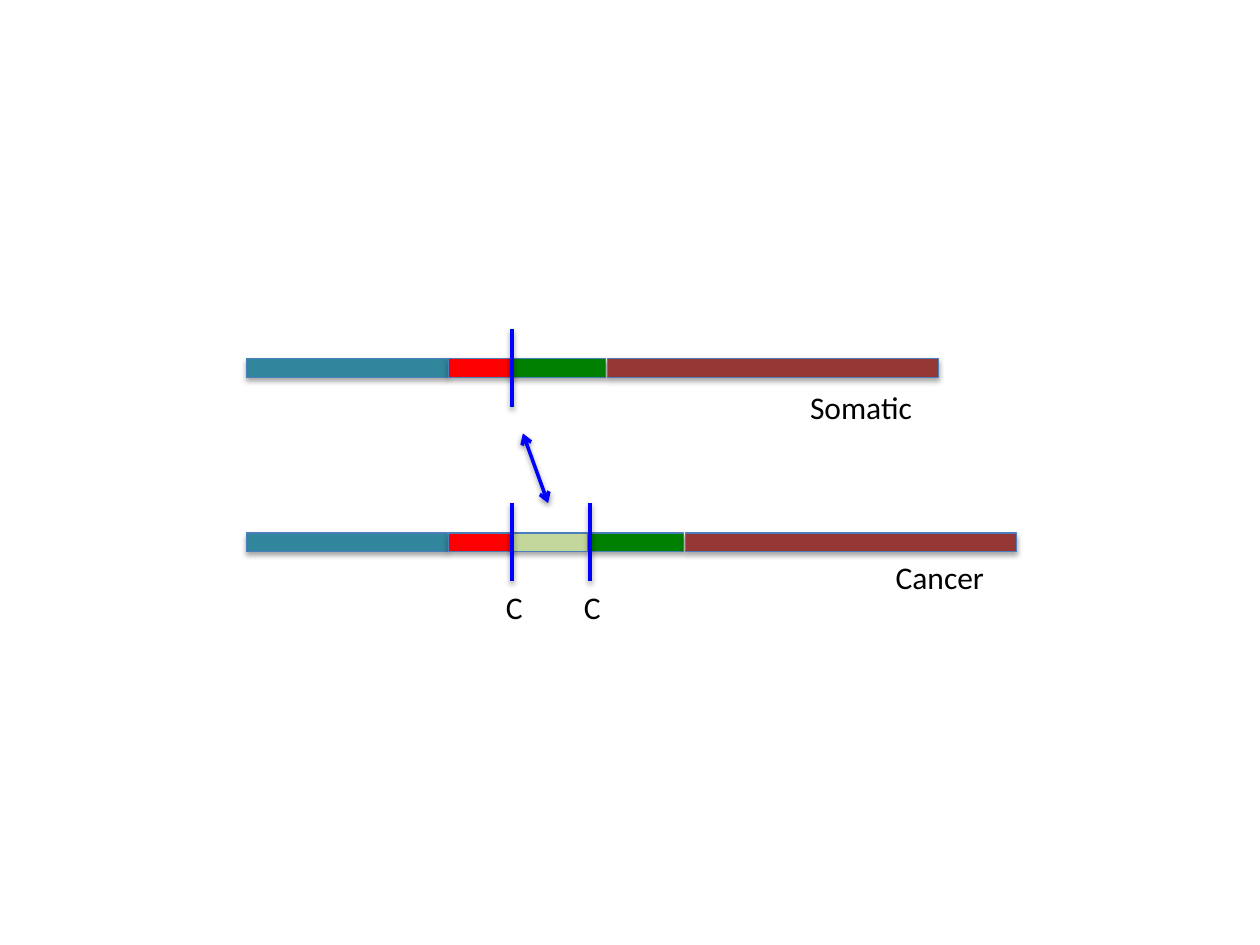
from lxml import etree
from pptx import Presentation
from pptx.dml.color import RGBColor
from pptx.enum.shapes import MSO_CONNECTOR, MSO_SHAPE
from pptx.oxml.ns import qn
from pptx.util import Pt

BAR = MSO_SHAPE.MATH_MINUS
STRAIGHT = MSO_CONNECTOR.STRAIGHT

TEAL = RGBColor(0x31, 0x85, 0x9C)
RED = RGBColor(0xFF, 0x00, 0x00)
GREEN = RGBColor(0x00, 0x80, 0x00)
MAROON = RGBColor(0x95, 0x37, 0x35)
LIGHT_GREEN = RGBColor(0xC3, 0xD6, 0x9B)
OUTLINE = RGBColor(0x4B, 0x7E, 0xBC)
BLUE = RGBColor(0x00, 0x00, 0xFF)
BLACK = RGBColor(0x00, 0x00, 0x00)

BAR_HEIGHT = 44.64
INSERT_SHIFT = 44.6
BREAKPOINT = 172.3  # from the left of a chromosome

# Offset from the left of the chromosome, width, colour
BEFORE_BREAK = [(0, 156.2, TEAL), (129.6, 49, RED)]
AFTER_BREAK = [(163.4, 72, GREEN), (193, 257, MAROON)]
INSERT = (164.9, 58.3, LIGHT_GREEN)


def add_shadow(element, distance, opacity):
    """Give a shape or connector element a soft shadow straight below it."""
    properties = element.spPr
    effects = properties.find(qn("a:effectLst"))
    if effects is None:
        effects = etree.SubElement(properties, qn("a:effectLst"))
    shadow = etree.SubElement(
        effects, qn("a:outerShdw"), blurRad=str(Pt(3.1)),
        dist=str(Pt(distance)), dir="5400000", rotWithShape="0")
    color = etree.SubElement(shadow, qn("a:srgbClr"), val="000000")
    etree.SubElement(color, qn("a:alpha"), val=str(opacity * 1000))


def add_segment(slide, left, top, width, color):
    shape = slide.shapes.add_shape(
        BAR, Pt(left), Pt(top), Pt(width), Pt(BAR_HEIGHT))
    shape.fill.solid()
    shape.fill.fore_color.rgb = color
    shape.line.color.rgb = OUTLINE
    shape.line.width = Pt(0.75)
    shape.shadow.inherit = False
    add_shadow(shape._element, 1.8, 35)


def add_line(slide, start, end, arrows=False):
    connector = slide.shapes.add_connector(
        STRAIGHT, Pt(start[0]), Pt(start[1]), Pt(end[0]), Pt(end[1]))
    connector.line.color.rgb = BLUE
    connector.line.width = Pt(2)
    if arrows:
        line = connector.line._get_or_add_ln()
        for name in ("a:headEnd", "a:tailEnd"):
            etree.SubElement(line, qn(name), type="arrow")
    add_shadow(connector._element, 1.6, 38)


def add_text(slide, text, left, top, width, height=28.8, size=18,
             font="Calibri", color=BLACK):
    box = slide.shapes.add_textbox(Pt(left), Pt(top), Pt(width), Pt(height))
    box.text_frame.word_wrap = False
    run = box.text_frame.paragraphs[0].add_run()
    run.text = text
    run.font.size = Pt(size)
    run.font.name = font
    run.font.color.rgb = color


def add_chromosome(slide, left, top, has_insert=False):
    """Draw the segments and a line at each end of the break or insert."""
    shift = INSERT_SHIFT if has_insert else 0
    segments = BEFORE_BREAK + [
        (offset + shift, width, color) for offset, width, color in AFTER_BREAK]
    if has_insert:
        segments.append(INSERT)
    for offset, width, color in segments:
        add_segment(slide, left + offset, top, width, color)
    for offset in sorted({0, shift}):
        x = left + BREAKPOINT + offset
        add_line(slide, (x, top), (x, top + BAR_HEIGHT))
        if has_insert:
            add_text(slide, "C", x - 10.5, top + BAR_HEIGHT + 0.4, 24.5)


def main():
    presentation = Presentation()
    presentation.slide_width = Pt(720)
    presentation.slide_height = Pt(540)
    slide = presentation.slides.add_slide(presentation.slide_layouts[6])

    add_chromosome(slide, 120.2, 188)
    add_text(slide, "Somatic", 455.8, 218.2, 73.4)
    add_chromosome(slide, 120.2, 287.5, has_insert=True)
    add_text(slide, "Cancer", 504.7, 315.4, 65.5)
    add_line(slide, (298.8, 247.7), (313.2, 287.5), arrows=True)

    presentation.save("out.pptx")


if __name__ == "__main__":
    main()
